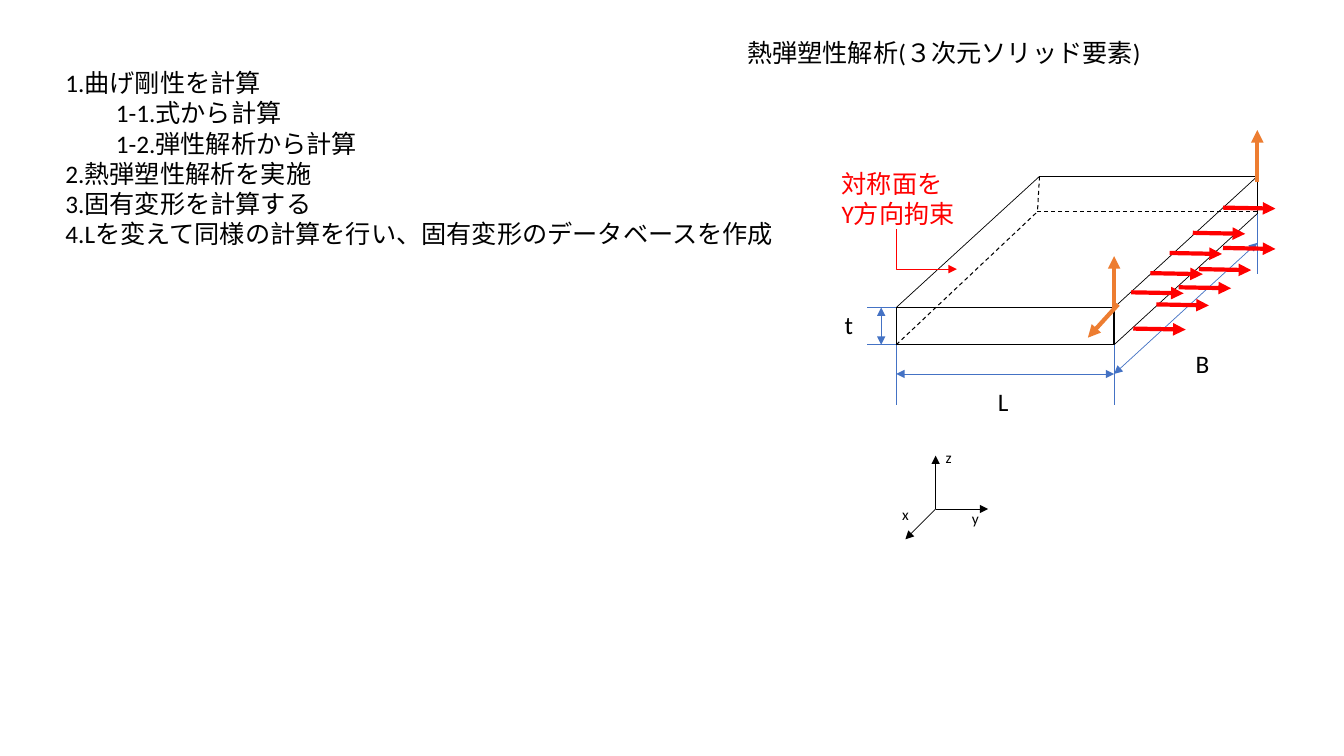
from lxml import etree
from pptx import Presentation
from pptx.dml.color import RGBColor
from pptx.enum.dml import MSO_LINE
from pptx.enum.shapes import MSO_CONNECTOR, MSO_SHAPE
from pptx.enum.text import MSO_ANCHOR, MSO_AUTO_SIZE, PP_ALIGN
from pptx.oxml.ns import qn
from pptx.util import Inches, Pt

STRAIGHT, ELBOW = MSO_CONNECTOR.STRAIGHT, MSO_CONNECTOR.ELBOW
RECTANGLE = MSO_SHAPE.RECTANGLE
DASH = MSO_LINE.DASH
TOP, LEFT = MSO_ANCHOR.TOP, PP_ALIGN.LEFT
NO_AUTOFIT = MSO_AUTO_SIZE.NONE
BLACK, WHITE, RED, BLUE, ORANGE = "000000", "FFFFFF", "FF0000", "4472C4", "ED7D31"


def rgb(value):
    """Turn a hex string into a colour."""
    return RGBColor.from_string(value)


class Sketch:
    """Draws styled elements on one slide."""

    font = "Calibri"

    def __init__(self, slide):
        """Keep the slide to draw on."""
        self.slide = slide

    def add_words(self, holder, paragraphs, size, color):
        """Fill a text holder, one run per paragraph."""
        frame = holder.text_frame
        frame.word_wrap = True
        frame.auto_size = NO_AUTOFIT
        frame.vertical_anchor = TOP
        for index, words in enumerate(paragraphs):
            paragraph = frame.add_paragraph() if index else frame.paragraphs[0]
            paragraph.alignment = LEFT
            run = paragraph.add_run()
            run.text = words
            run.font.name = self.font
            run.font.size = Pt(size)
            run.font.color.rgb = rgb(color)

    def title(self, words, left, top, width, height):
        """Place and fill the title placeholder."""
        heading = self.slide.shapes.title
        heading.left, heading.top = Inches(left), Inches(top)
        heading.width, heading.height = Inches(width), Inches(height)
        self.add_words(heading, [words], 18, BLACK)

    def text(self, paragraphs, left, top, width, height, size=18, color=BLACK):
        """Add a text box."""
        box = self.slide.shapes.add_textbox(
            Inches(left), Inches(top), Inches(width), Inches(height))
        self.add_words(box, paragraphs, size, color)

    def rectangle(self, left, top, width, height):
        """Add a white rectangle with a black outline."""
        face = self.slide.shapes.add_shape(
            RECTANGLE, Inches(left), Inches(top), Inches(width), Inches(height))
        face.shadow.inherit = False
        face.fill.solid()
        face.fill.fore_color.rgb = rgb(WHITE)
        face.line.color.rgb = rgb(BLACK)
        face.line.width = Pt(1)

    def line(self, start, end, color=BLACK, weight=0.5, dash=None, ends=(), kind=STRAIGHT):
        """Add a connector; ends names the arrowheads to draw."""
        connector = self.slide.shapes.add_connector(
            kind, *(Inches(length) for length in (*start, *end)))
        connector.line.color.rgb = rgb(color)
        connector.line.width = Pt(weight)
        if dash:
            connector.line.dash_style = dash
        properties = connector._element.spPr
        outline = properties.find(qn("a:ln"))
        for name in ends:
            etree.SubElement(outline, qn("a:" + name), type="triangle")
        etree.SubElement(properties, qn("a:effectLst"))
        return properties

    def arrow(self, start, end, color=BLACK, weight=0.5):
        """Add a line with one arrowhead."""
        self.line(start, end, color, weight, ends=("tailEnd",))

    def dimension(self, start, end):
        """Add a blue line with arrowheads at both ends."""
        self.line(start, end, BLUE, ends=("headEnd", "tailEnd"))

    def corner_arrow(self, start, end, color):
        """Add an arrow that drops first and then runs sideways."""
        properties = self.line(start, end, color, ends=("tailEnd",), kind=ELBOW)
        guides = properties.find(qn("a:prstGeom")).get_or_add_avLst()
        etree.SubElement(guides, qn("a:gd"), name="adj1", fmla="val -100")


def draw_axes(sketch):
    """Draw the x, y and z axes."""
    origin = (9.28, 5.05)
    axes = [("x", (8.98, 5.35), (8.85, 4.96)),
            ("y", (9.8, 5.05), (9.54, 5)),
            ("z", (9.28, 4.52), (9.28, 4.4))]
    for name, tip, (left, top) in axes:
        sketch.arrow(origin, tip)
        sketch.text([name], left, top, 0.3, 0.29, size=11)


def draw_solid(sketch):
    """Draw the plate, its dimensions and its constraints."""
    left, right, top, bottom = 8.89, 11.05, 3.05, 3.42
    depth, rise, extension = 1.42, 1.3, 0.6
    back_left, back_right = left + depth, right + depth
    back_top, back_bottom = top - rise, bottom - rise
    measure = bottom + 0.29

    sketch.rectangle(left, top, right - left, bottom - top)
    for x, y in [(left, top), (right, top), (right, bottom)]:
        sketch.line((x, y), (x + depth, y - rise))
    sketch.line((back_left, back_top), (back_right, back_top))
    sketch.line((back_right, back_top), (back_right, back_bottom))

    for x, y in [(left, bottom), (right, bottom), (back_right, back_bottom)]:
        sketch.line((x, y), (x, y + extension), BLUE)
    for y in (top, bottom):
        sketch.line((left - 0.29, y), (left, y), BLUE)
    sketch.dimension((left, measure), (right, measure))
    sketch.dimension((right, measure), (back_right, measure - rise))
    sketch.dimension((left - 0.15, top), (left - 0.15, bottom))
    for name, x, y in [("B", 11.76, 3.41), ("L", 9.8, 3.78), ("t", 8.28, 3.02)]:
        sketch.text([name], x, y, 0.34, 0.4)

    hidden_corner = (10.29, 2.1)
    for corner in [(left, bottom), (back_left, back_top), (back_right, 2.1)]:
        sketch.line(corner, hidden_corner, weight=0.75, dash=DASH)

    sketch.corner_arrow((left, 2.28), (9.49, 2.67), RED)
    sketch.text(["対称面を", "Y方向拘束"], 8.25, 1.62, 1.33, 0.71, color=RED)

    upper_edge = [(11.22, 2.9), (11.41, 2.71), (11.6, 2.51), (11.83, 2.31), (12.13, 2.06)]
    lower_edge = [(11.24, 3.26), (11.47, 3.02), (11.69, 2.85), (11.89, 2.67), (12.13, 2.46)]
    for x, y in upper_edge + lower_edge:
        sketch.arrow((x, y), (x + 0.52, y + 0.01), RED, 3)
    for x, y in [(right, 3.06), (back_right, 1.81)]:
        sketch.arrow((x, y), (x, y - 0.52), ORANGE, 3)
    sketch.arrow((11.09, 3.02), (10.79, 3.35), ORANGE, 3)


def main():
    """Build the slide and save it."""
    deck = Presentation()
    deck.slide_width, deck.slide_height = Inches(13.33), Inches(7.5)
    sketch = Sketch(deck.slides.add_slide(deck.slide_layouts[5]))
    draw_axes(sketch)
    draw_solid(sketch)
    sketch.title("熱弾塑性解析(３次元ソリッド要素)", 7.31, 0.32, 4.14, 0.4)
    sketch.text(["1.曲げ剛性を計算",
                 "\t1-1.式から計算",
                 "\t1-2.弾性解析から計算",
                 "2.熱弾塑性解析を実施",
                 "3.固有変形を計算する",
                 "4.Lを変えて同様の計算を行い、固有変形のデータベースを作成"],
                0.55, 0.62, 7.32, 1.92)
    deck.save("out.pptx")


if __name__ == "__main__":
    main()
